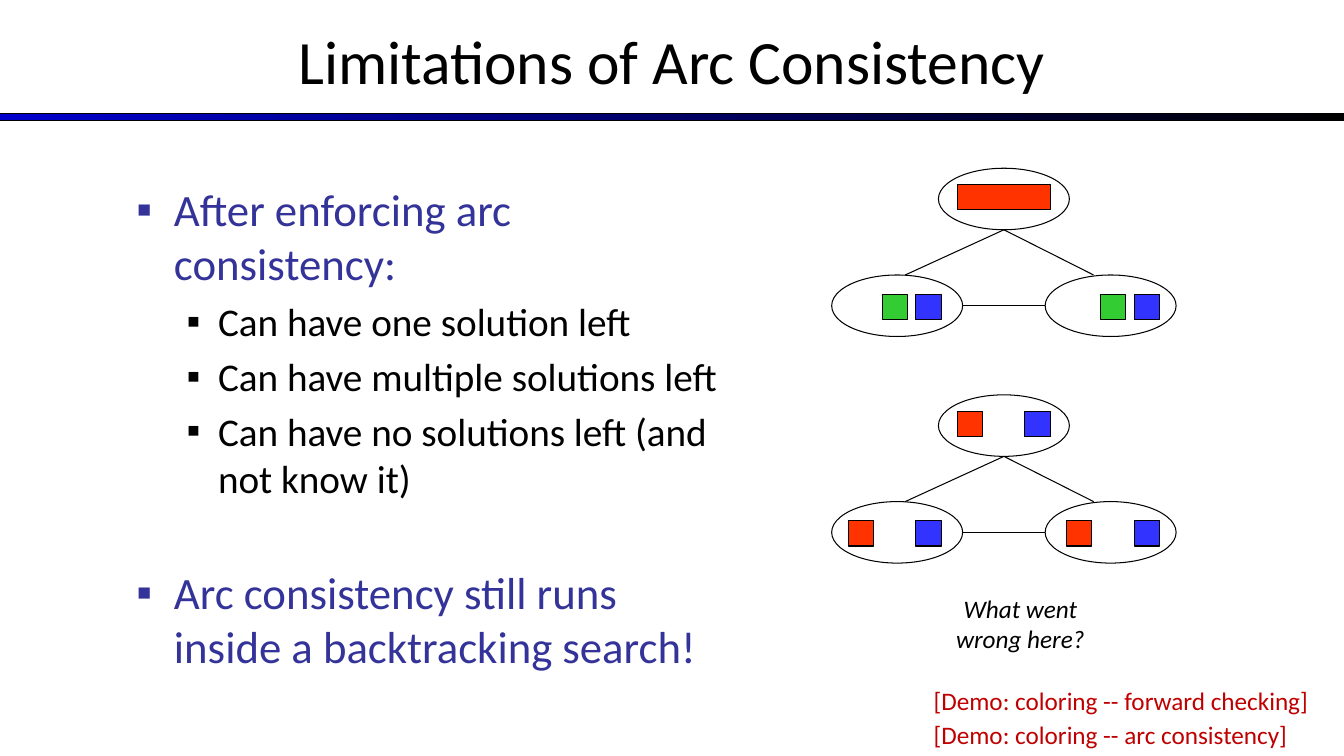
"""Build a slide on the limitations of arc consistency."""
from pptx import Presentation
from pptx import util as u
from pptx.dml.color import RGBColor
from pptx.enum import shapes, text
from pptx.oxml.ns import qn
from lxml import etree

BLACK, NAVY, CRIMSON = "000000", "333399", "C00000"
RED, GREEN, BLUE = "FF3300", "33CC33", "3333FF"


def color(value):
    return RGBColor.from_string(value)


def write(para, words, size=18, ink=BLACK, italic=False, align=None, before=0, level=0, bullet=None):
    span = para.add_run()
    span.text = words
    span.font.name, span.font.size = "Calibri", u.Pt(size)
    span.font.italic, span.font.color.rgb = italic, color(ink)
    para.alignment, para.space_before, para.level = align, u.Pt(before), level
    if bullet:
        margin, indent = [(0.95, -0.95), (2.06, -0.79)][level]
        settings = para._p.get_or_add_pPr()
        settings.set("marL", str(u.Cm(margin)))
        settings.set("indent", str(u.Cm(indent)))
        tint = etree.SubElement(settings, qn("a:buClr"))
        etree.SubElement(tint, qn("a:srgbClr"), val=ink)
        etree.SubElement(settings, qn("a:buFont"), typeface="Arial")
        etree.SubElement(settings, qn("a:buChar"), char=bullet)


deck = Presentation()
deck.slide_width, deck.slide_height = u.Cm(33.87), u.Cm(19.05)
page = deck.slides.add_slide(deck.slide_layouts[1])

bar = page.shapes.add_shape(shapes.MSO_SHAPE.RECTANGLE, 0, u.Cm(2.86), deck.slide_width, u.Cm(0.18))
bar.shadow.inherit = False
bar.fill.gradient()
bar.fill.gradient_angle = 0
for stop, shade in zip(bar.fill.gradient_stops, ["0000CC", BLACK]):
    stop.color.rgb = color(shade)
bar.line.color.rgb, bar.line.width = color(BLACK), u.Pt(0.75)

title = page.shapes.title
title.left, title.top, title.width, title.height = 0, u.Cm(-0.08), deck.slide_width, u.Cm(3.18)
title.text_frame.vertical_anchor = text.MSO_ANCHOR.MIDDLE
write(title.text_frame.paragraphs[0], "Limitations of Arc Consistency", size=44, align=text.PP_ALIGN.CENTER)

body = page.placeholders[1]
body.left, body.top, body.width, body.height = u.Cm(3.18), u.Cm(4.45), u.Cm(15.44), u.Cm(12.57)
body.text_frame.auto_size = text.MSO_AUTO_SIZE.NONE
points = [
    ("After enforcing arc consistency:", 0, 5),
    ("Can have one solution left", 1, 5.6),
    ("Can have multiple solutions left", 1, 5.6),
    ("Can have no solutions left (and not know it)", 1, 5.6),
    ("Arc consistency still runs inside a backtracking search!", 0, 45.5),
]
for index, (words, level, before) in enumerate(points):
    para = body.text_frame.add_paragraph() if index else body.text_frame.paragraphs[0]
    write(para, words, size=[32, 28][level], ink=[NAVY, BLACK][level], before=before, level=level, bullet="▪")

NODE_WIDTH, NODE_HEIGHT, SQUARE, SLOT_STEP = 3.3, 1.55, 0.64, 0.85
nodes = {"top": (23.65, 0), "right": (26.34, 2.69), "left": (20.96, 2.69)}
slots = {"top": (24.13, 0.41), "right": (26.88, 3.17), "left": (21.38, 3.17)}
edges = [(25.3, 1.55, 22.81, 2.69), (25.3, 1.55, 27.56, 2.69), (24.26, 3.46, 26.34, 3.46)]
triangles = [
    (4.24, [("left", 1, GREEN, SQUARE), ("left", 2, BLUE, SQUARE), ("right", 1, GREEN, SQUARE),
            ("right", 2, BLUE, SQUARE), ("top", 0, RED, 2.34)]),
    (9.95, [(node, slot, fill, SQUARE) for node in nodes for slot, fill in [(0, RED), (2, BLUE)]]),
]
for top, domains in triangles:
    graph = page.shapes.add_group_shape().shapes
    parts = [(graph, shapes.MSO_SHAPE.OVAL, x, y, NODE_WIDTH, NODE_HEIGHT, None) for x, y in nodes.values()]
    for node, slot, fill, width in domains:
        x, y = slots[node]
        parts.append((page.shapes, shapes.MSO_SHAPE.RECTANGLE, x + slot * SLOT_STEP, y, width, SQUARE, fill))
    for owner, kind, x, y, width, height, fill in parts:
        part = owner.add_shape(kind, u.Cm(x), u.Cm(top + y), u.Cm(width), u.Cm(height))
        part.shadow.inherit = False
        if fill:
            part.fill.solid()
            part.fill.fore_color.rgb = color(fill)
        else:
            part.fill.background()
        part.line.color.rgb, part.line.width = color(BLACK), u.Pt(0.75)
    for x1, y1, x2, y2 in edges:
        edge = graph.add_connector(shapes.MSO_CONNECTOR.STRAIGHT, u.Cm(x1), u.Cm(top + y1), u.Cm(x2), u.Cm(top + y2))
        edge.line.color.rgb, edge.line.width = color(BLACK), u.Pt(0.75)
        etree.SubElement(edge._element.spPr, qn("a:effectLst"))

captions = [
    ("What went wrong here?", 14.82, 4.87, 1.8, dict(italic=True, align=text.PP_ALIGN.CENTER)),
    ("[Demo: coloring -- forward checking]", 17.15, 10.67, 1.03, dict(ink=CRIMSON)),
    ("[Demo: coloring -- arc consistency]", 17.99, 10.67, 1.03, dict(ink=CRIMSON)),
]
for words, top, width, height, style in captions:
    box = page.shapes.add_textbox(u.Cm(23.28), u.Cm(top), u.Cm(width), u.Cm(height))
    box.text_frame.word_wrap = True
    write(box.text_frame.paragraphs[0], words, **style)

deck.save("out.pptx")
